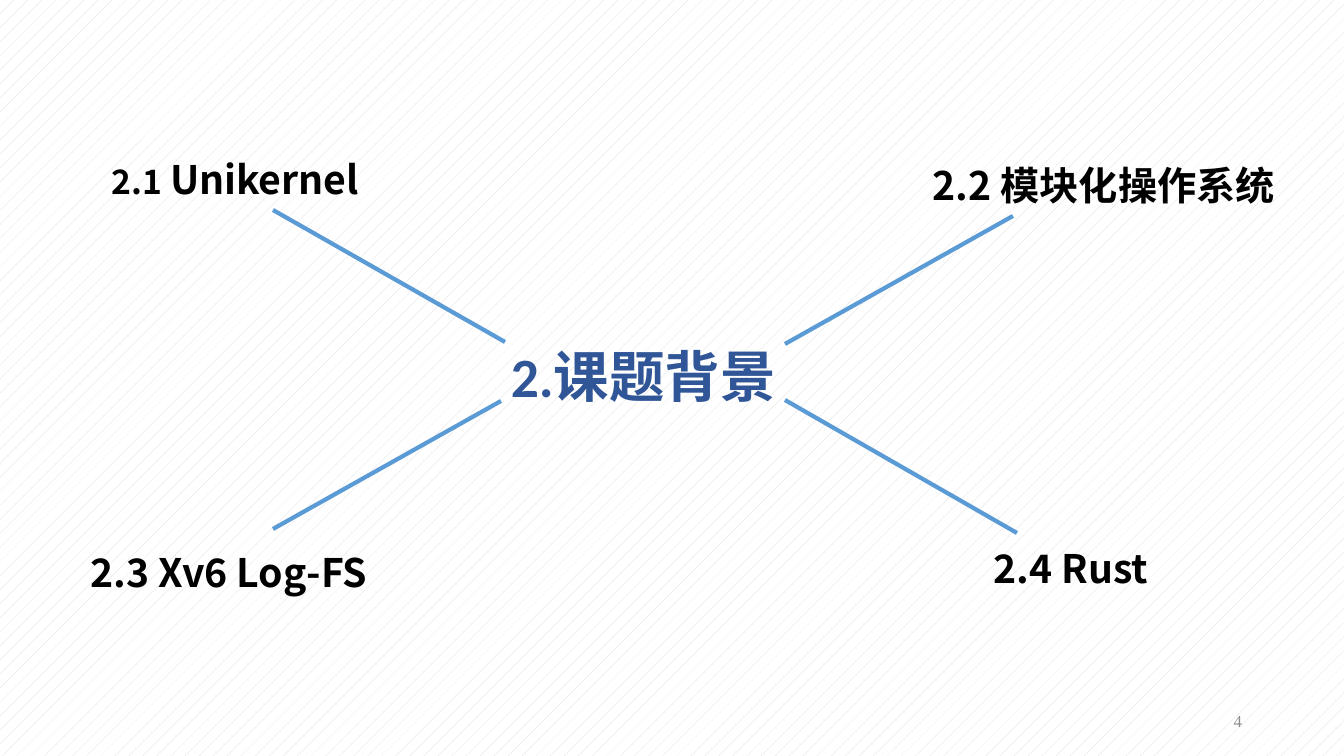
"""Build the section overview slide: a central topic linked to four subtopics."""
from lxml import etree
from pptx import Presentation
from pptx.dml.color import RGBColor
from pptx.enum.dml import MSO_PATTERN
from pptx.enum.shapes import MSO_CONNECTOR
from pptx.enum.text import MSO_ANCHOR, PP_ALIGN
from pptx.oxml.ns import qn
from pptx.util import Pt

EMU_PER_PX = 914400 / 100.8
STRAIGHT = MSO_CONNECTOR.STRAIGHT
TOP, MIDDLE = MSO_ANCHOR.TOP, MSO_ANCHOR.MIDDLE
LEFT, RIGHT = PP_ALIGN.LEFT, PP_ALIGN.RIGHT
DOTTED = MSO_PATTERN.PERCENT_5

THEME = {
    "paper": "FFFFFF", "pattern": "D9D9D9", "title": "305697",
    "label": "000000", "number": "8C8C8C", "link": "5B9BD5",
    "title_font": "Calibri", "label_font": "Noto Sans CJK SC",
    "number_font": "Times New Roman",
    "title_size": 39.6, "label_size": 28, "index_size": 24,
    "number_size": 12, "link_width": 3,
}


def px(length):
    return round(length * EMU_PER_PX)


def add_text(box, runs, *, font, color, bold=True, align=LEFT, anchor=TOP, spacing=1.0):
    shape = slide.shapes.add_textbox(*map(px, box))
    frame = shape.text_frame
    frame.word_wrap = True
    frame.vertical_anchor = anchor
    paragraph = frame.paragraphs[0]
    paragraph.alignment = align
    paragraph.line_spacing = spacing
    for text, size in runs:
        run = paragraph.add_run()
        run.text = text
        run.font.size = Pt(size)
        run.font.bold = bold
        run.font.color.rgb = RGBColor.from_string(color)
        run.font.name = font
        east_asian = etree.SubElement(run.font._element, qn("a:ea"))
        east_asian.set("typeface", THEME["label_font"])


presentation = Presentation()
presentation.slide_width, presentation.slide_height = px(1344), px(756)
slide = presentation.slides.add_slide(presentation.slide_layouts[6])

background = slide.background.fill
background.patterned()
background.pattern = DOTTED
background.fore_color.rgb = RGBColor.from_string(THEME["pattern"])
background.back_color.rgb = RGBColor.from_string(THEME["paper"])

add_text((950, 701, 302, 40), [("4", THEME["number_size"])],
         font=THEME["number_font"], color=THEME["number"], bold=False,
         align=RIGHT, anchor=MIDDLE)
add_text((501, 347, 301, 64), [("2.课题背景", THEME["title_size"])],
         font=THEME["title_font"], color=THEME["title"], anchor=MIDDLE, spacing=0.9)

label_size = THEME["label_size"]
subtopics = [
    ((102, 141, 301, 67), [("2.1 ", THEME["index_size"]), ("Unikernel", label_size)], 1.2),
    ((923, 156, 389, 57), [("2.2 模块化操作系统", label_size)], 1.0),
    ((81, 534, 345, 67), [("2.3 Xv6 Log-FS", label_size)], 1.2),
    ((984, 539, 269, 57), [("2.4 Rust", label_size)], 1.0),
]
for box, runs, spacing in subtopics:
    add_text(box, runs, font=THEME["label_font"], color=THEME["label"], spacing=spacing)

links = [
    (785, 400, 1017, 533),
    (785, 344, 1013, 216),
    (273, 529, 501, 401),
    (273, 210, 505, 342),
]
for ends in links:
    link = slide.shapes.add_connector(STRAIGHT, *map(px, ends))
    link.line.color.rgb = RGBColor.from_string(THEME["link"])
    link.line.width = Pt(THEME["link_width"])
    etree.SubElement(link._element.spPr, qn("a:effectLst"))

presentation.save("out.pptx")
